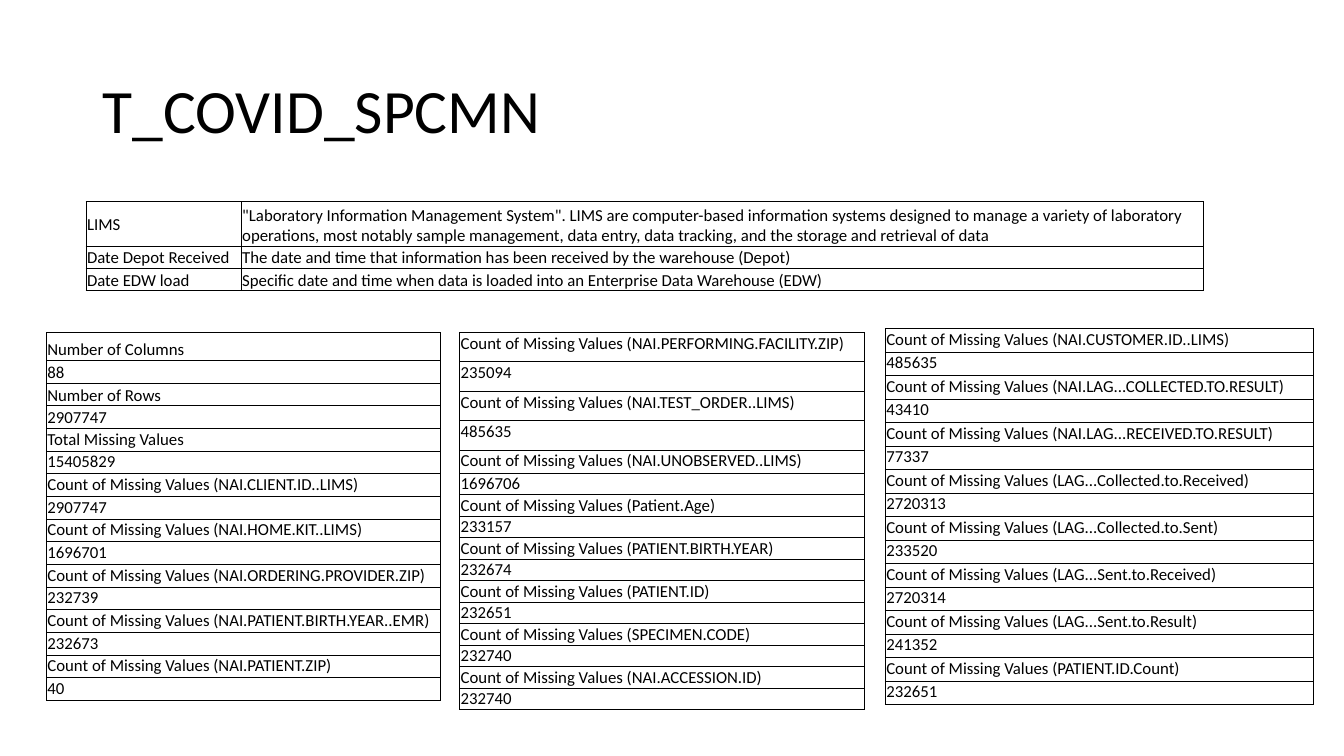
from lxml import etree
from pptx import Presentation
from pptx import util as u
from pptx.dml.color import RGBColor
from pptx.enum import text
from pptx.oxml import ns

COLORS = {"ink": "000000", "paper": "FFFFFF"}
MIDDLE, BOTTOM, TOP = (
    text.MSO_ANCHOR.MIDDLE,
    text.MSO_ANCHOR.BOTTOM,
    text.MSO_ANCHOR.TOP,
)

DEFINITIONS = [
    ("LIMS", '"Laboratory Information Management System". LIMS are computer-based '
             "information systems designed to manage a variety of laboratory operations, "
             "most notably sample management, data entry, data tracking, and the storage "
             "and retrieval of data"),
    ("Date Depot Received",
     "The date and time that information has been received by the warehouse (Depot)"),
    ("Date EDW load",
     "Specific date and time when data is loaded into an Enterprise Data Warehouse (EDW)"),
]

TOTALS = [
    ("Number of Columns", 88),
    ("Number of Rows", 2907747),
    ("Total Missing Values", 15405829),
]

MISSING_FIRST = [
    ("NAI.CLIENT.ID..LIMS", 2907747),
    ("NAI.HOME.KIT..LIMS", 1696701),
    ("NAI.ORDERING.PROVIDER.ZIP", 232739),
    ("NAI.PATIENT.BIRTH.YEAR..EMR", 232673),
    ("NAI.PATIENT.ZIP", 40),
]

MISSING_SECOND = [
    ("NAI.PERFORMING.FACILITY.ZIP", 235094),
    ("NAI.TEST_ORDER..LIMS", 485635),
    ("NAI.UNOBSERVED..LIMS", 1696706),
    ("Patient.Age", 233157),
    ("PATIENT.BIRTH.YEAR", 232674),
    ("PATIENT.ID", 232651),
    ("SPECIMEN.CODE", 232740),
    ("NAI.ACCESSION.ID", 232740),
]

MISSING_THIRD = [
    ("NAI.CUSTOMER.ID..LIMS", 485635),
    ("NAI.LAG...COLLECTED.TO.RESULT", 43410),
    ("NAI.LAG...RECEIVED.TO.RESULT", 77337),
    ("LAG...Collected.to.Received", 2720313),
    ("LAG...Collected.to.Sent", 233520),
    ("LAG...Sent.to.Received", 2720314),
    ("LAG...Sent.to.Result", 241352),
    ("PATIENT.ID.Count", 232651),
]


def missing(counts):
    return [(f"Count of Missing Values ({field})", count) for field, count in counts]


def stacked(pairs):
    return [(str(entry),) for pair in pairs for entry in pair]


class SlideBuilder:
    font = "Calibri"
    title_size = 44
    body_size = 12
    border_width = 0.5

    def __init__(self, presentation):
        self.width = presentation.slide_width
        self.height = presentation.slide_height
        self.slide = presentation.slides.add_slide(presentation.slide_layouts[6])
        self.slide.background.fill.solid()
        self.slide.background.fill.fore_color.rgb = RGBColor.from_string(COLORS["paper"])

    def across(self, percent):
        return round(self.width * percent / 100)

    def down(self, percent):
        return round(self.height * percent / 100)

    def label(self, frame, content, size):
        frame.text = content
        for run in frame.paragraphs[0].runs:
            run.font.name = self.font
            run.font.size = u.Pt(size)
            run.font.color.rgb = RGBColor.from_string(COLORS["ink"])

    def title(self, content, left, top, width, height):
        shape = self.slide.shapes.add_textbox(
            self.across(left), self.down(top), self.across(width), self.down(height))
        frame = shape.text_frame
        frame.word_wrap = True
        frame.vertical_anchor = MIDDLE
        self.label(frame, content, self.title_size)
        frame.paragraphs[0].line_spacing = 0.9

    def border(self, cell):
        properties = cell._tc.get_or_add_tcPr()
        for side in ("a:lnL", "a:lnR", "a:lnT", "a:lnB"):
            line = etree.SubElement(
                properties, ns.qn(side), w=str(u.Pt(self.border_width)))
            fill = etree.SubElement(line, ns.qn("a:solidFill"))
            etree.SubElement(fill, ns.qn("a:srgbClr"), val=COLORS["ink"])

    def table(self, rows, left, top, widths, heights, bottom_rows=0):
        table = self.slide.shapes.add_table(
            len(rows), len(widths), self.across(left), self.down(top),
            self.across(sum(widths)), self.down(sum(heights))).table
        table.first_row = table.horz_banding = False
        for column, width in zip(table.columns, widths):
            column.width = self.across(width)
        for index, (row, height, contents) in enumerate(zip(table.rows, heights, rows)):
            row.height = self.down(height)
            for cell, content in zip(row.cells, contents):
                cell.margin_left = cell.margin_right = cell.margin_top = u.Inches(0.01)
                cell.margin_bottom = 0
                cell.vertical_anchor = BOTTOM if index < bottom_rows else TOP
                self.border(cell)
                cell.fill.background()
                self.label(cell.text_frame, content, self.body_size)
        return table


def main():
    presentation = Presentation()
    presentation.slide_width = u.Inches(13.33)
    presentation.slide_height = u.Inches(7.5)
    builder = SlideBuilder(presentation)

    builder.title("T_COVID_SPCMN", 6.9, 5.33, 86.27, 19.33)
    definitions = builder.table(
        DEFINITIONS, 6.4, 26.65, [11.55, 71.55], [5.95, 2.92, 2.92], bottom_rows=3)
    definitions.cell(0, 0).vertical_anchor = MIDDLE

    builder.table(stacked(TOTALS + missing(MISSING_FIRST)), 3.45, 43.97,
                  [29.33], [3.7] + [3] * 15, bottom_rows=4)
    builder.table(stacked(missing(MISSING_SECOND)), 34.2, 43.97,
                  [30.08], [3.89] * 4 + [3.03] + [2.85] * 11)
    builder.table(stacked(missing(MISSING_THIRD)), 65.87, 43.45,
                  [31.88], [3.11] * 16)

    presentation.save("out.pptx")


if __name__ == "__main__":
    main()
